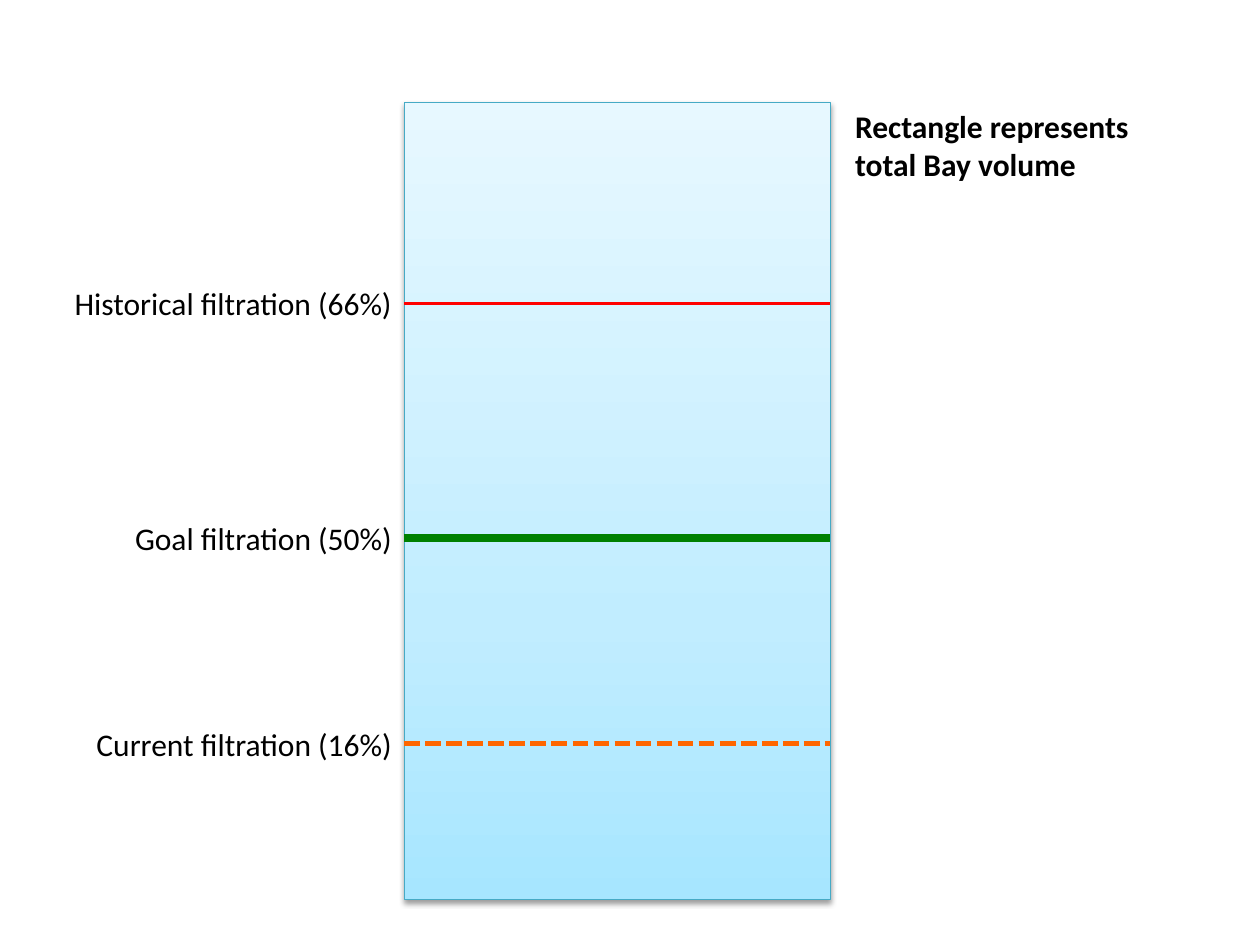
from copy import deepcopy
from dataclasses import dataclass
from typing import Optional

from lxml import etree
from pptx import Presentation
from pptx.dml.color import RGBColor
from pptx.enum import dml, shapes, text
from pptx.oxml import ns
from pptx.util import Pt


@dataclass(frozen=True)
class Theme:
    font: str = "Calibri"
    size: float = 18
    ink: str = "000000"
    outline: str = "46AAC5"
    water: tuple = ((0, "A7E6FF"), (0.35, "C1EDFF"), (1, "E7F8FF"))
    historical: str = "FF0000"
    current: str = "FF6600"
    goal: str = "008000"


@dataclass(frozen=True)
class Level:
    label: str
    y: float
    label_width: float
    color: str
    weight: float
    dash: Optional[dml.MSO_LINE] = None


THEME = Theme()
BAY_LEFT, BAY_TOP, BAY_WIDTH, BAY_HEIGHT = 231, 58.5, 243.5, 455.5
BAY_RIGHT = BAY_LEFT + BAY_WIDTH
LABEL_HEIGHT = 29

LEVELS = (
    Level("Historical filtration (66%)", 173.5, 217.5, THEME.historical, 2),
    Level("Current filtration (16%)", 425, 204, THEME.current, 3,
          dml.MSO_LINE.SQUARE_DOT),
    Level("Goal filtration (50%)", 307.5, 204, THEME.goal, 4.5),
)


def rgb(color: str) -> RGBColor:
    return RGBColor.from_string(color)


def add_text(page, words: str, left: float, top: float, width: float,
             height: float, *, bold: bool = False,
             align=text.PP_ALIGN.LEFT) -> None:
    box = page.shapes.add_textbox(Pt(left), Pt(top), Pt(width), Pt(height))
    frame = box.text_frame
    frame.word_wrap = True
    frame.auto_size = text.MSO_AUTO_SIZE.SHAPE_TO_FIT_TEXT
    para = frame.paragraphs[0]
    para.alignment = align
    span = para.add_run()
    span.text = words
    span.font.name = THEME.font
    span.font.size = Pt(THEME.size)
    span.font.bold = bold
    span.font.color.rgb = rgb(THEME.ink)


def add_bay(page) -> None:
    bay = page.shapes.add_shape(shapes.MSO_SHAPE.RECTANGLE, Pt(BAY_LEFT),
                                Pt(BAY_TOP), Pt(BAY_WIDTH), Pt(BAY_HEIGHT))
    bay.line.color.rgb = rgb(THEME.outline)
    bay.line.width = Pt(0.75)

    # Three-stop gradient, darkest at the bottom
    bay.fill.gradient()
    bay.fill.gradient_angle = 90
    properties = bay._element.spPr
    stop_list = properties.find(".//" + ns.qn("a:gsLst"))
    stop_list.insert(1, deepcopy(stop_list[0]))
    for stop, (position, color) in zip(bay.fill.gradient_stops, THEME.water):
        stop.position = position
        stop.color.rgb = rgb(color)

    # Soft shadow below
    bay.shadow.inherit = False
    effects = properties.find(ns.qn("a:effectLst"))
    shadow = etree.SubElement(
        effects, ns.qn("a:outerShdw"), blurRad=str(Pt(3.1)),
        dist=str(Pt(1.6)), dir="5400000", rotWithShape="0")
    shade = etree.SubElement(shadow, ns.qn("a:srgbClr"), val=THEME.ink)
    etree.SubElement(shade, ns.qn("a:alpha"), val="38000")


def add_level(page, level: Level) -> None:
    line = page.shapes.add_connector(
        shapes.MSO_CONNECTOR.STRAIGHT, Pt(BAY_LEFT), Pt(level.y),
        Pt(BAY_RIGHT), Pt(level.y))
    line.line.color.rgb = rgb(level.color)
    line.line.width = Pt(level.weight)
    if level.dash is not None:
        line.line.dash_style = level.dash
    etree.SubElement(line._element.spPr, ns.qn("a:effectLst"))
    add_text(page, level.label, BAY_LEFT - level.label_width,
             level.y - LABEL_HEIGHT / 2, level.label_width, LABEL_HEIGHT,
             align=text.PP_ALIGN.RIGHT)


def main() -> None:
    deck = Presentation()
    deck.slide_width, deck.slide_height = Pt(720), Pt(540)
    page = deck.slides.add_slide(deck.slide_layouts[6])

    # Bay volume and its caption
    add_bay(page)
    add_text(page, "Rectangle represents total Bay volume",
             BAY_RIGHT + 7, 57.5, 181.5, 51, bold=True)

    # Filtration levels
    for level in LEVELS:
        add_level(page, level)

    deck.save("out.pptx")


main()
